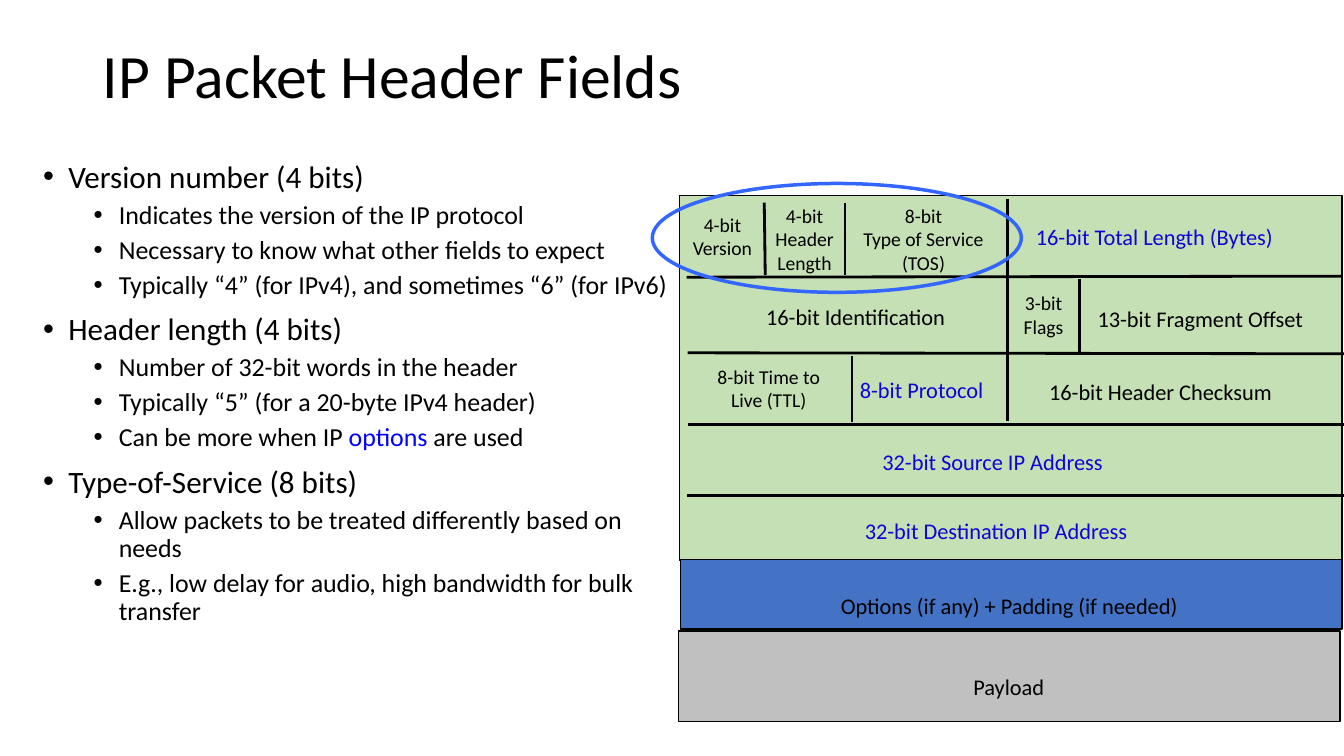
from dataclasses import dataclass

import lxml.etree
import pptx
import pptx.dml.color
import pptx.enum.shapes
import pptx.enum.text
import pptx.oxml.ns
import pptx.util

Inches = pptx.util.Inches
Pt = pptx.util.Pt
SHAPE = pptx.enum.shapes.MSO_SHAPE
ALIGN = pptx.enum.text.PP_ALIGN
ANCHOR = pptx.enum.text.MSO_ANCHOR
FIT = pptx.enum.text.MSO_AUTO_SIZE


@dataclass(frozen=True)
class Theme:
    font: str = "Calibri"
    ink: str = "000000"
    link: str = "0000FF"
    key: str = "0E04D6"
    ring: str = "3366FF"
    head: str = "C5E0B4"
    opts: str = "4472C4"
    load: str = "C0C0C0"
    title: float = 44
    topic: float = 22.2
    point: float = 18.5
    field: float = 16
    small: float = 14


THEME = Theme()

# Each point is a list of text parts; odd parts are highlighted.
TOPICS = [
    ("Version number (4 bits)", [
        ["Indicates the version of the IP protocol"],
        ["Necessary to know what other fields to expect"],
        ["Typically “4” (for IPv4), and sometimes “6” (for IPv6)"]]),
    ("Header length (4 bits)", [
        ["Number of 32-bit words in the header"],
        ["Typically “5” (for a 20-byte IPv4 header)"],
        ["Can be more when IP ", "options", " are used"]]),
    ("Type-of-Service (8 bits)", [
        ["Allow packets to be treated differently based on needs"],
        ["E.g., low delay for audio, high bandwidth for bulk transfer"]]),
]

BLOCKS = [
    (6.74, 1.94, 6.57, 3.62, THEME.head),
    (6.75, 5.55, 6.56, 0.69, THEME.opts),
    (6.73, 6.26, 6.56, 0.9, THEME.load),
]

RULES = [
    (6.81, 2.75, 13.31, 2.74),
    (6.82, 3.5, 13.33, 3.51),
    (6.82, 4.21, 13.33, 4.21),
    (6.81, 4.92, 13.33, 4.92),
    (9.99, 1.97, 9.99, 4.18),
    (8.38, 2.01, 8.38, 2.73),
    (7.58, 2.01, 7.59, 2.73),
    (10.71, 2.77, 10.71, 3.49),
    (8.45, 3.53, 8.45, 4.19),
]

SMALL = [
    ("4-bit\nVersion", 6.77, 2.06, 0.79, 0.57),
    ("4-bit\nHeader\nLength", 7.59, 1.97, 0.78, 0.8),
    ("8-bit\nType of Service\n(TOS)", 8.46, 1.97, 1.4, 0.8),
    ("3-bit\nFlags", 10.05, 2.84, 0.6, 0.57),
    ("8-bit Time to\nLive (TTL)", 6.99, 3.57, 1.27, 0.57),
]

FIELDS = [
    ("16-bit Total Length (Bytes)", 10.16, 2.16, 2.58, THEME.key),
    ("16-bit Identification", 7.49, 2.96, 1.99, THEME.ink),
    ("13-bit Fragment Offset", 10.77, 2.98, 2.27, THEME.ink),
    ("8-bit Protocol", 8.42, 3.68, 1.44, THEME.key),
    ("16-bit Header Checksum", 10.29, 3.7, 2.44, THEME.ink),
    ("32-bit Source IP Address", 8.64, 4.4, 2.41, THEME.key),
    ("32-bit Destination IP Address", 8.46, 5.08, 2.84, THEME.key),
    ("Options (if any) + Padding (if needed)", 8.22, 5.83, 3.58, THEME.ink),
    ("Payload", 9.55, 6.63, 0.91, THEME.ink),
]


def color(code):
    return pptx.dml.color.RGBColor.from_string(code)


def style(font, size, code=THEME.ink):
    font.name = THEME.font
    font.size = Pt(size)
    font.color.rgb = color(code)


def add_title(slide, text):
    title = slide.shapes.title
    title.left, title.top = Inches(0.92), Inches(0.4)
    title.width, title.height = Inches(11.5), Inches(1.45)
    frame = title.text_frame
    frame.text = text
    frame.auto_size = FIT.NONE
    frame.vertical_anchor = ANCHOR.TOP
    para = frame.paragraphs[0]
    para.alignment = ALIGN.LEFT
    para.line_spacing = 0.9
    style(para.runs[0].font, THEME.title)


def add_point(frame, parts, level):
    """Add one bulleted paragraph at level 0 or 1."""
    first = not frame.text
    para = frame.paragraphs[0] if first else frame.add_paragraph()
    para.level = level
    para.line_spacing = 0.9
    para.space_before = Pt(0 if first else 5 if level else 10)
    props = para._p.get_or_add_pPr()
    props.set("marL", str(Inches(0.75 if level else 0.25)))
    props.set("indent", str(Inches(-0.25)))
    qn = pptx.oxml.ns.qn
    lxml.etree.SubElement(props, qn("a:buFont")).set("typeface", "Arial")
    lxml.etree.SubElement(props, qn("a:buChar")).set("char", "•")
    size = THEME.point if level else THEME.topic
    for num, part in enumerate(parts):
        run = para.add_run()
        run.text = part
        style(run.font, size, THEME.link if num % 2 else THEME.ink)


def add_topics(slide):
    box = slide.shapes.add_textbox(
        Inches(0.33), Inches(1.55), Inches(6.51), Inches(4.82))
    frame = box.text_frame
    frame.word_wrap = True
    for topic, points in TOPICS:
        add_point(frame, [topic], 0)
        for parts in points:
            add_point(frame, parts, 1)


def add_block(slide, left, top, width, height, fill):
    block = slide.shapes.add_shape(
        SHAPE.RECTANGLE, Inches(left), Inches(top), Inches(width), Inches(height))
    block.shadow.inherit = False
    block.fill.solid()
    block.fill.fore_color.rgb = color(fill)
    block.line.color.rgb = color(THEME.ink)
    block.line.width = Pt(1)


def add_rule(slide, *ends):
    rule = slide.shapes.add_connector(
        pptx.enum.shapes.MSO_CONNECTOR.STRAIGHT, *map(Inches, ends))
    rule.line.color.rgb = color(THEME.ink)
    rule.line.width = Pt(2)
    lxml.etree.SubElement(
        rule._element.spPr, pptx.oxml.ns.qn("a:effectLst"))


def add_label(slide, text, left, top, width, height, size, code=THEME.ink):
    box = slide.shapes.add_textbox(
        Inches(left), Inches(top), Inches(width), Inches(height))
    frame = box.text_frame
    frame.text = text
    frame.word_wrap = False
    frame.auto_size = FIT.SHAPE_TO_FIT_TEXT
    for para in frame.paragraphs:
        para.alignment = ALIGN.CENTER
        style(para.runs[0].font, size, code)


def add_ring(slide):
    ring = slide.shapes.add_shape(
        SHAPE.OVAL, Inches(6.47), Inches(1.82), Inches(3.66), Inches(1.08))
    ring.shadow.inherit = False
    ring.fill.background()
    ring.line.color.rgb = color(THEME.ring)
    ring.line.width = Pt(2.5)


def main():
    deck = pptx.Presentation()
    deck.slide_width, deck.slide_height = Inches(13.33), Inches(7.5)
    slide = deck.slides.add_slide(deck.slide_layouts.get_by_name("Title Only"))
    add_title(slide, "IP Packet Header Fields")
    add_topics(slide)
    for block in BLOCKS:
        add_block(slide, *block)
    for rule in RULES:
        add_rule(slide, *rule)
    for label in SMALL:
        add_label(slide, *label, THEME.small)
    for text, left, top, width, code in FIELDS:
        add_label(slide, text, left, top, width, 0.37, THEME.field, code)
    add_ring(slide)
    deck.save("out.pptx")


if __name__ == "__main__":
    main()
